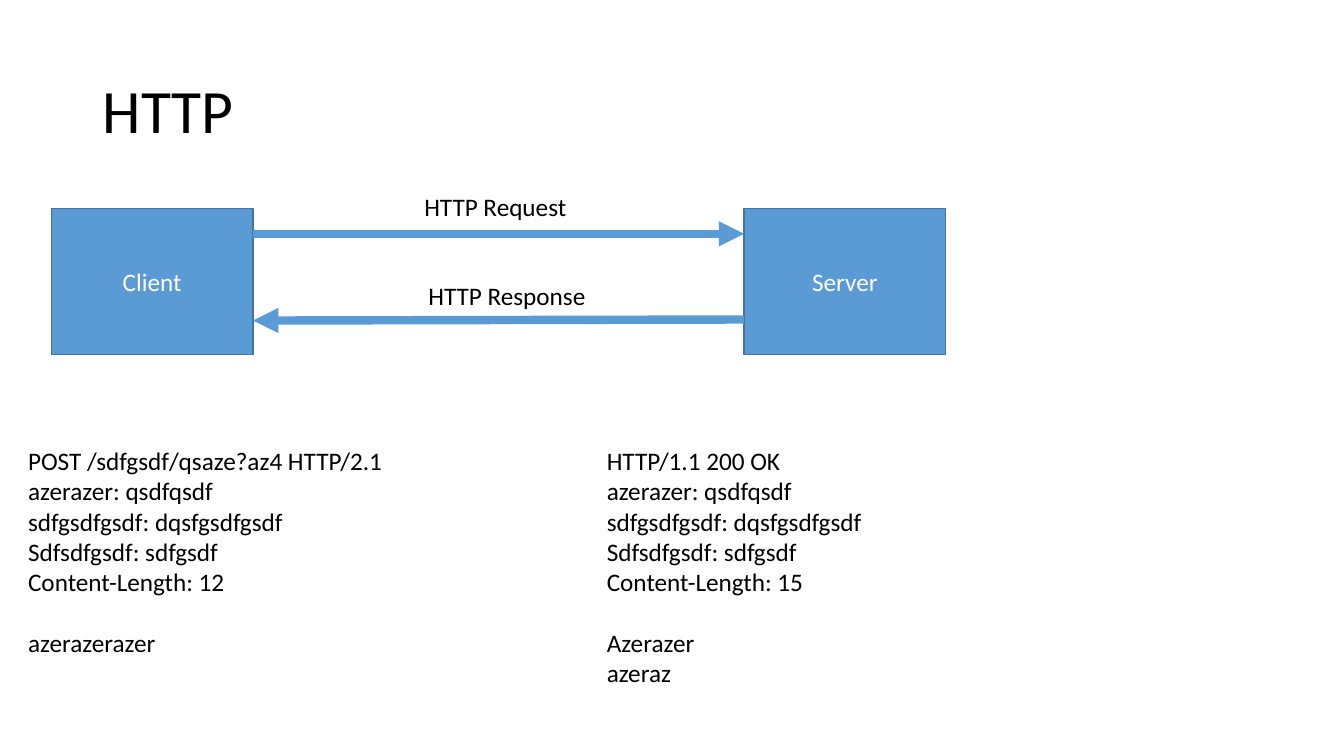
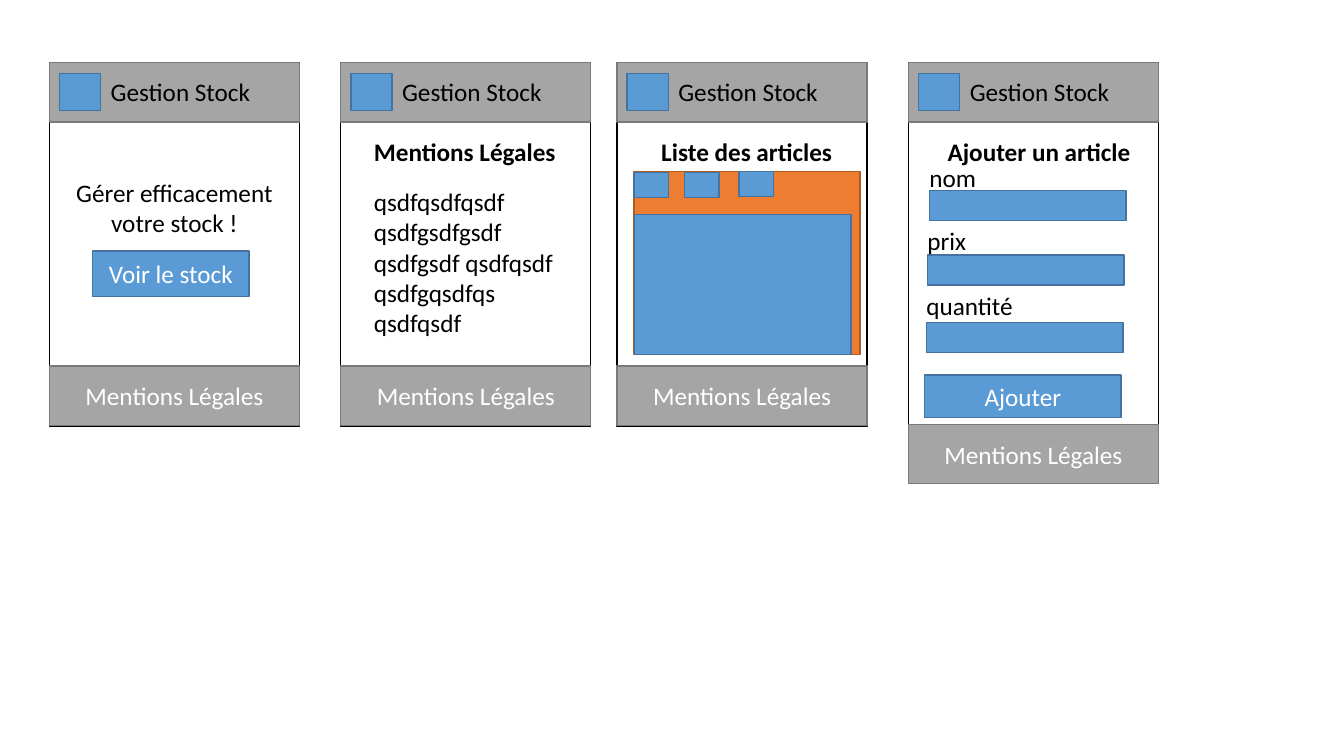
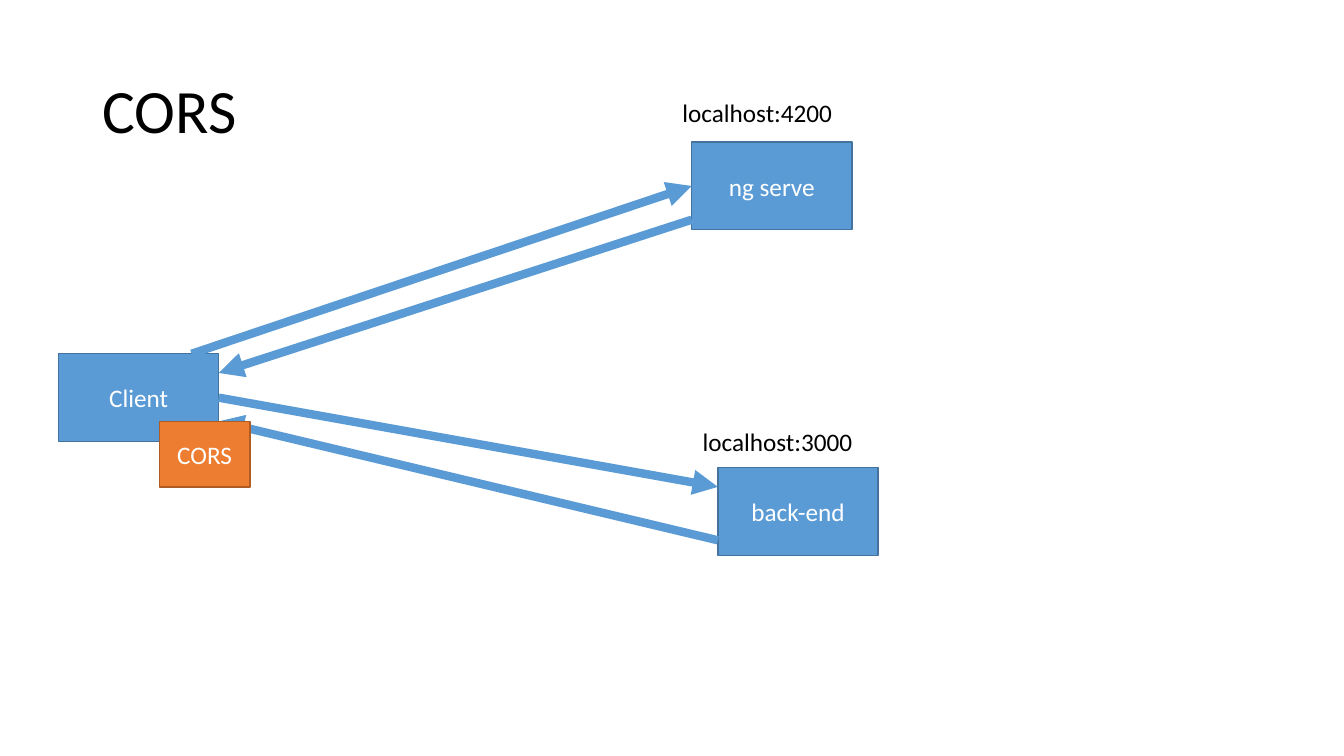
from dataclasses import dataclass

from pptx import Presentation
from pptx.dml.color import RGBColor as Rgb
from pptx.enum.shapes import MSO_CONNECTOR as Connector, MSO_SHAPE as Shape
from pptx.enum.text import MSO_ANCHOR as Anchor, MSO_AUTO_SIZE as AutoSize, PP_ALIGN as Align
from pptx.oxml.ns import qn
from pptx.util import Inches, Pt


@dataclass(frozen=True)
class Style:
    fill: str
    line: str


@dataclass(frozen=True)
class Theme:
    font: str = "Calibri"
    title_size: int = 44
    text_size: int = 18
    line_gap: int = 22
    dark: str = "000000"
    light: str = "FFFFFF"
    arrow: str = "5B9BD5"
    outline_width: int = 1
    arrow_width: int = 6
    blue: Style = Style("5B9BD5", "43739E")
    orange: Style = Style("ED7D31", "AF5C24")
    grey: Style = Style("A5A5A5", "7A7A7A")
    white: Style = Style("FFFFFF", "000000")


THEME = Theme()
SCREEN_TOP, SCREEN_WIDTH, SCREEN_HEIGHT, BAND_HEIGHT = 0.62, 2.48, 3.61, 0.59
LABEL_HEIGHT = 0.4


def write_text(frame, lines, *, size=THEME.text_size, color=THEME.dark, bold=False,
               align=Align.LEFT, anchor=Anchor.TOP, spacing=None, gap_before=None):
    """Fill a text frame, one paragraph a line; gap_before is the index of a line set apart."""
    frame.vertical_anchor = anchor
    for index, line in enumerate(lines):
        para = frame.add_paragraph() if index else frame.paragraphs[0]
        para.alignment = align
        if spacing:
            para.line_spacing = spacing
        if index and index == gap_before:
            para.space_before = Pt(THEME.line_gap)
        span = para.add_run()
        span.text = line
        font = span.font
        font.name, font.size, font.bold = THEME.font, Pt(size), bold
        font.color.rgb = Rgb.from_string(color)


def add_text(page, left, top, width, height, *lines, wrap=False, **text_format):
    box = page.shapes.add_textbox(Inches(left), Inches(top), Inches(width), Inches(height))
    box.text_frame.word_wrap = wrap
    box.text_frame.auto_size = AutoSize.NONE if wrap else AutoSize.SHAPE_TO_FIT_TEXT
    write_text(box.text_frame, lines, **text_format)


def add_label(page, left, top, width, text, **text_format):
    add_text(page, left, top, width, LABEL_HEIGHT, text, **text_format)


def add_title(page, text):
    add_text(page, 0.92, 0.4, 11.5, 1.45, text, wrap=True, size=THEME.title_size,
             anchor=Anchor.MIDDLE, spacing=0.9)


def add_box(page, left, top, width, height, text="", style=THEME.blue):
    box = page.shapes.add_shape(Shape.RECTANGLE, Inches(left), Inches(top),
                                Inches(width), Inches(height))
    box.shadow.inherit = False
    box.fill.solid()
    box.fill.fore_color.rgb = Rgb.from_string(style.fill)
    box.line.color.rgb = Rgb.from_string(style.line)
    box.line.width = Pt(THEME.outline_width)
    if text:
        write_text(box.text_frame, [text], color=THEME.light,
                   align=Align.CENTER, anchor=Anchor.MIDDLE)
    return box


def add_arrow(page, start, end):
    arrow = page.shapes.add_connector(Connector.STRAIGHT, *map(Inches, start + end))
    arrow.line.color.rgb = Rgb.from_string(THEME.arrow)
    arrow.line.width = Pt(THEME.arrow_width)
    properties = arrow.line._get_or_add_ln()
    head = properties.makeelement(qn("a:tailEnd"), {"type": "triangle"})
    properties.append(head)
    shape_properties = arrow._element.spPr
    shape_properties.append(shape_properties.makeelement(qn("a:effectLst"), {}))
    return arrow


def add_screen(page, left, footer_top=3.63):
    """Draw an app screen: frame, header with its icon, and footer."""
    add_box(page, left, SCREEN_TOP, SCREEN_WIDTH, SCREEN_HEIGHT, style=THEME.white)
    add_box(page, left, SCREEN_TOP, SCREEN_WIDTH, BAND_HEIGHT, style=THEME.grey)
    add_box(page, left, footer_top, SCREEN_WIDTH, BAND_HEIGHT, "Mentions Légales", THEME.grey)
    add_box(page, left + 0.1, 0.73, 0.41, 0.37)
    add_label(page, left + 0.51, 0.71, 1.6, "Gestion Stock")


def add_heading(page, left, width, text):
    add_label(page, left, 1.3, width, text, bold=True)


def build_http(page):
    add_title(page, "HTTP")
    for left, name in ((0.51, "Client"), (7.38, "Server")):
        add_box(page, left, 2.07, 2, 1.45, name)
    add_arrow(page, (2.51, 2.32), (7.38, 2.32))
    add_label(page, 4.11, 1.85, 1.63, "HTTP Request")
    add_arrow(page, (7.38, 3.17), (2.51, 3.18))
    add_label(page, 4.15, 2.73, 1.78, "HTTP Response")

    headers = ("azerazer: qsdfqsdf", "sdfgsdfgsdf: dqsfgsdfgsdf", "Sdfsdfgsdf: sdfgsdf")
    messages = (
        (0.18, 3.75, 2.22, "POST /sdfgsdf/qsaze?az4 HTTP/2.1", 12, ("azerazerazer",)),
        (5.92, 2.76, 2.52, "HTTP/1.1 200 OK", 15, ("Azerazer", "azeraz")),
    )
    for left, width, height, first_line, length, body in messages:
        head = (first_line, *headers, f"Content-Length: {length}")
        add_text(page, left, 4.37, width, height, *head, *body, gap_before=len(head))


def build_home_screen(page, left):
    add_screen(page, left)
    add_text(page, left, 1.71, SCREEN_WIDTH, 0.71, "Gérer efficacement votre stock !",
             wrap=True, align=Align.CENTER)
    add_box(page, left + 0.43, 2.49, 1.55, 0.45, "Voir le stock")


def build_legal_screen(page, left):
    add_screen(page, left)
    add_heading(page, left + 0.23, 2.02, "Mentions Légales")
    add_text(page, left + 0.23, 1.8, 1.98, 1.92, "qsdfqsdfqsdf", "qsdfgsdfgsdf",
             "qsdfgsdf qsdfqsdf", "qsdfgqsdfqs qsdfqsdf", wrap=True)


def build_list_screen(page, left):
    add_screen(page, left)
    add_heading(page, left + 0.34, 1.91, "Liste des articles")
    add_box(page, left + 0.17, 1.7, 2.24, 1.82, style=THEME.orange)
    add_box(page, left + 0.17, 2.13, 2.15, 1.39)
    for offset, top in ((0.17, 1.71), (0.67, 1.71), (1.21, 1.7)):
        add_box(page, left + offset, top, 0.34, 0.25)


def build_form_screen(page, left):
    add_screen(page, left, footer_top=4.21)
    add_heading(page, left + 0.29, 2.03, "Ajouter un article")
    fields = (
        ("nom", 0.67, 0.21, 1.56, 1.89),
        ("prix", 0.59, 0.19, 2.19, 2.53),
        ("quantité", 1.07, 0.18, 2.83, 3.2),
    )
    for name, width, offset, label_top, field_top in fields:
        add_box(page, left + offset, field_top, 1.95, 0.3)
        add_label(page, left + offset - 0.1, label_top, width, name)
    add_box(page, left + 0.16, 3.72, 1.95, 0.42, "Ajouter")


def build_screens(page):
    build_home_screen(page, 0.49)
    build_legal_screen(page, 3.38)
    build_list_screen(page, 6.12)
    build_form_screen(page, 9.01)


def build_cors(page):
    add_title(page, "CORS")
    client, front_end, _ = (
        add_box(page, left, top, 1.59, 0.87, name)
        for left, top, name in ((0.58, 3.51, "Client"), (6.86, 1.41, "ng serve"),
                                (7.12, 4.64, "back-end"))
    )
    add_label(page, 6.67, 0.92, 1.7, "localhost:4200")
    add_label(page, 6.87, 4.18, 1.7, "localhost:3000")

    add_arrow(page, (1.9, 3.51), (6.86, 1.85)).end_connect(front_end, 1)
    add_arrow(page, (6.86, 2.18), (2.17, 3.7))
    add_arrow(page, (2.17, 3.94), (7.12, 4.83)).begin_connect(client, 3)
    add_arrow(page, (7.12, 5.36), (2.17, 4.18))
    add_box(page, 1.58, 4.18, 0.9, 0.65, "CORS", THEME.orange)


def main():
    deck = Presentation()
    deck.slide_width, deck.slide_height = Inches(13.33), Inches(7.5)
    blank = deck.slide_layouts[6]
    for build in (build_http, build_screens, build_cors):
        build(deck.slides.add_slide(blank))
    deck.save("out.pptx")


if __name__ == "__main__":
    main()
